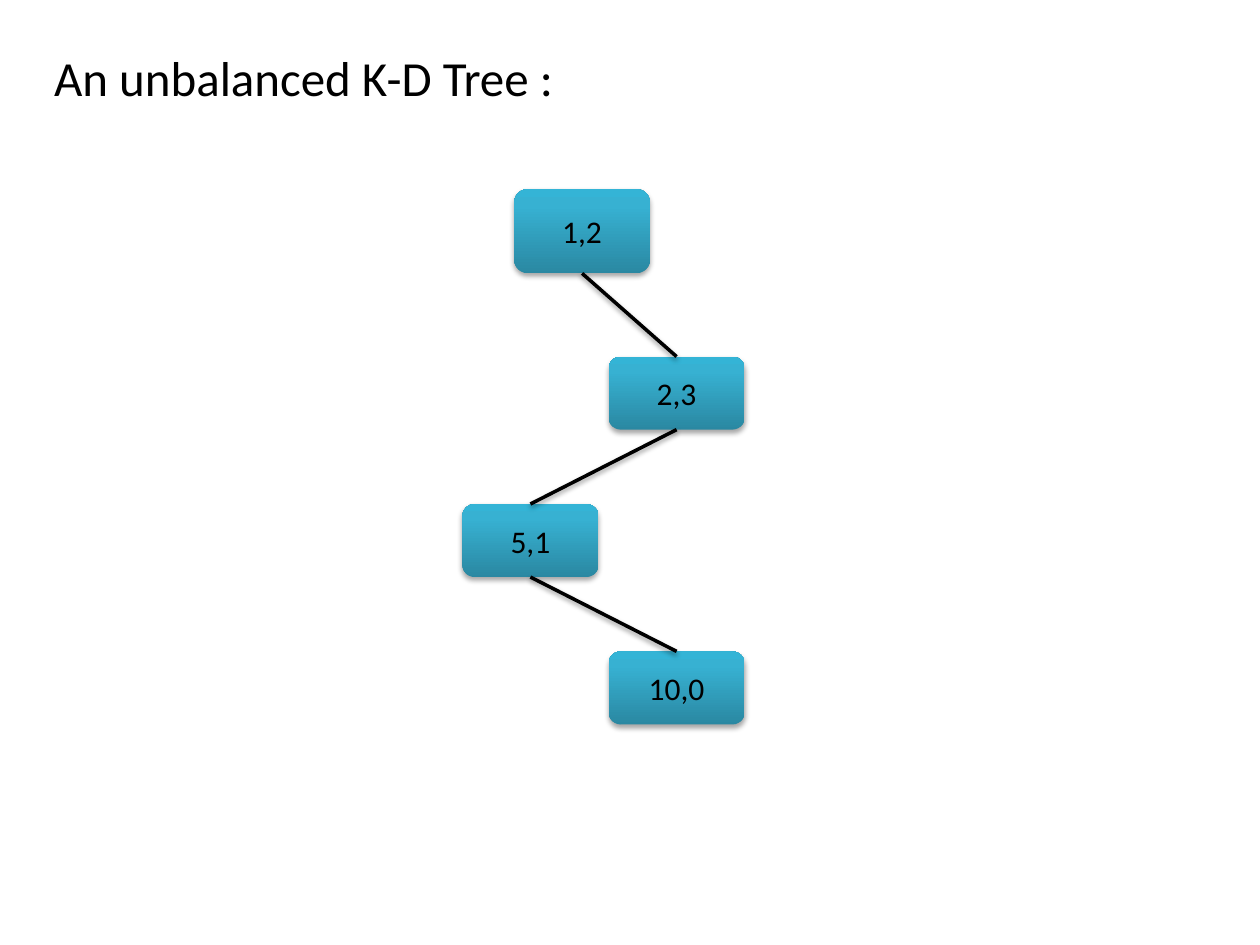
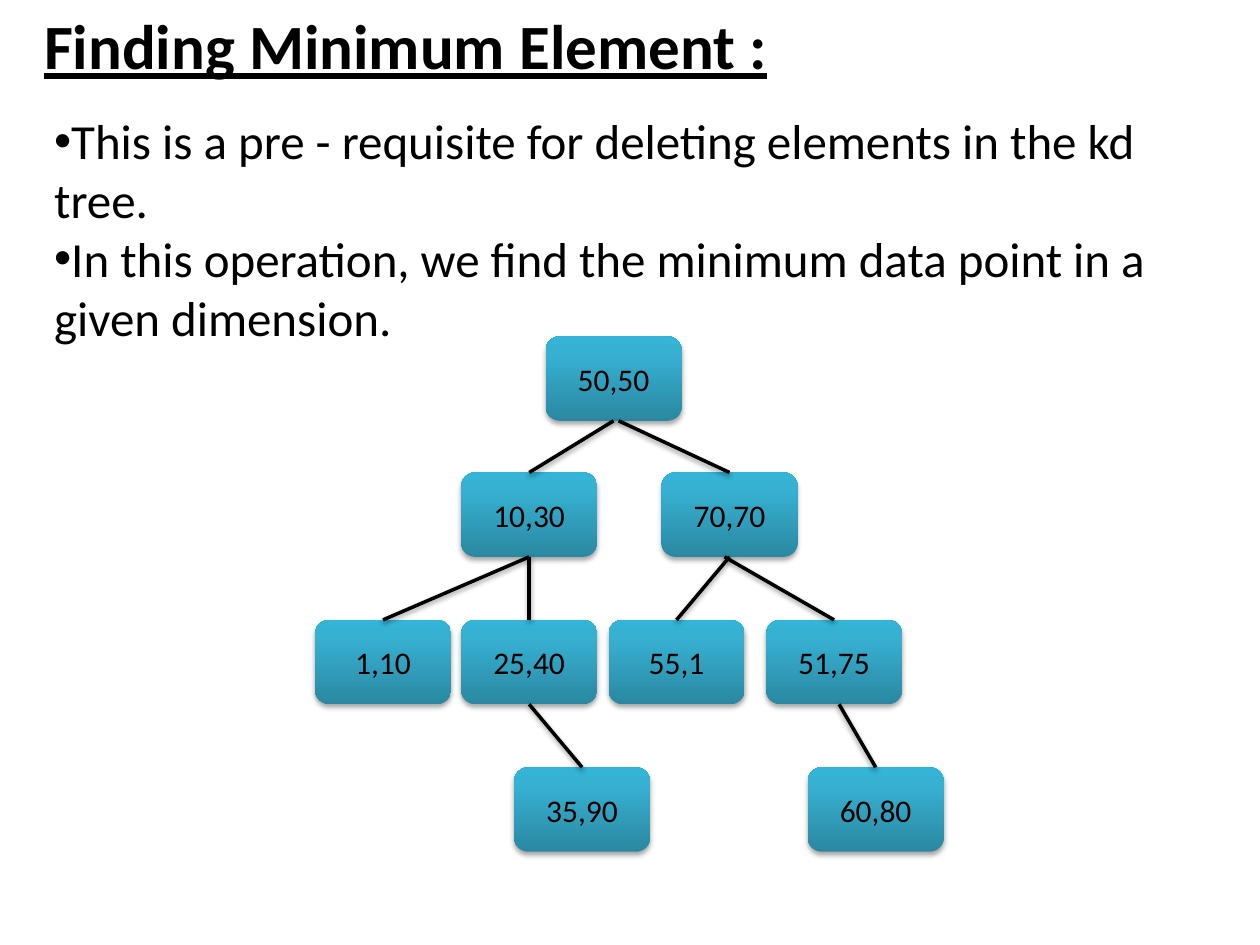
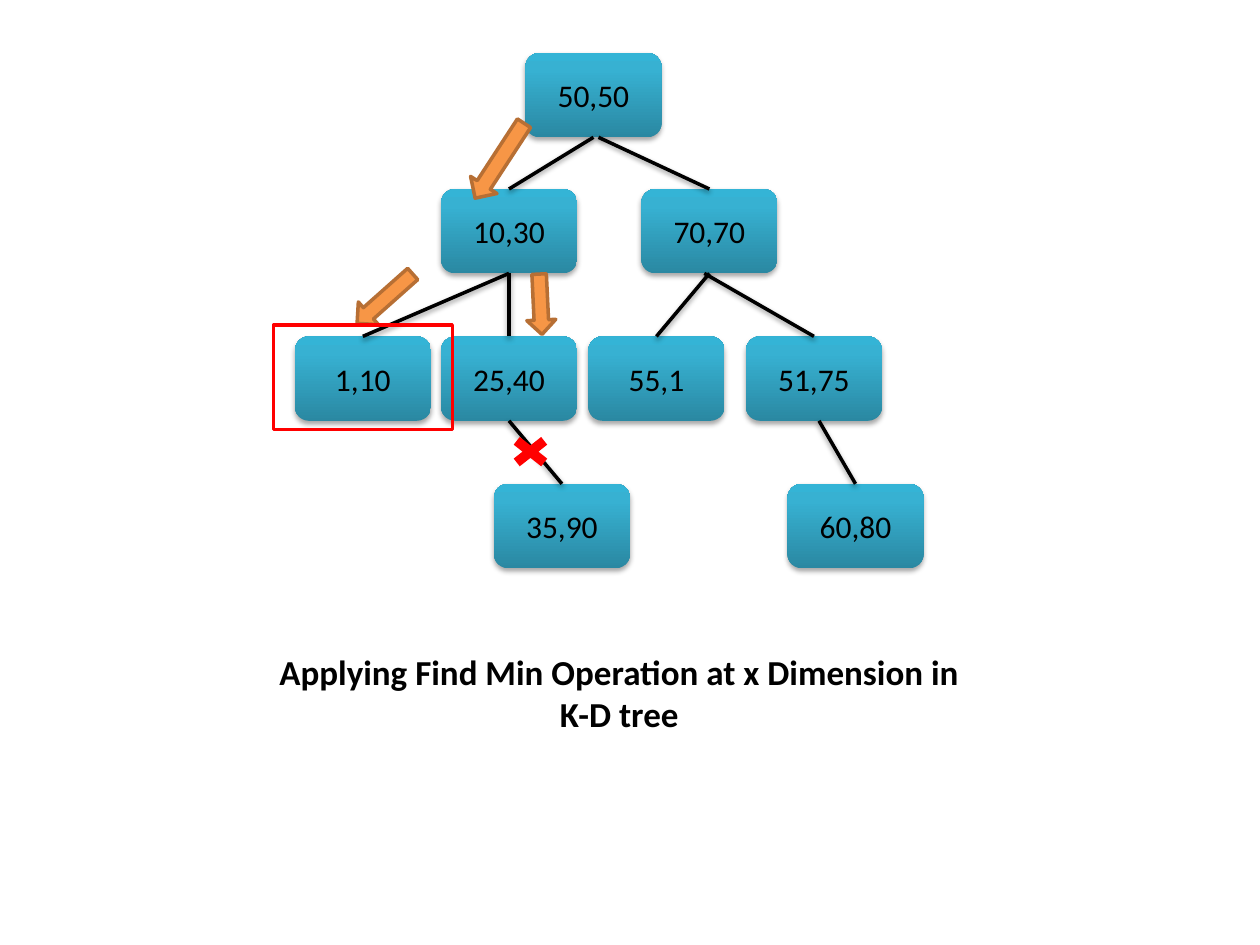
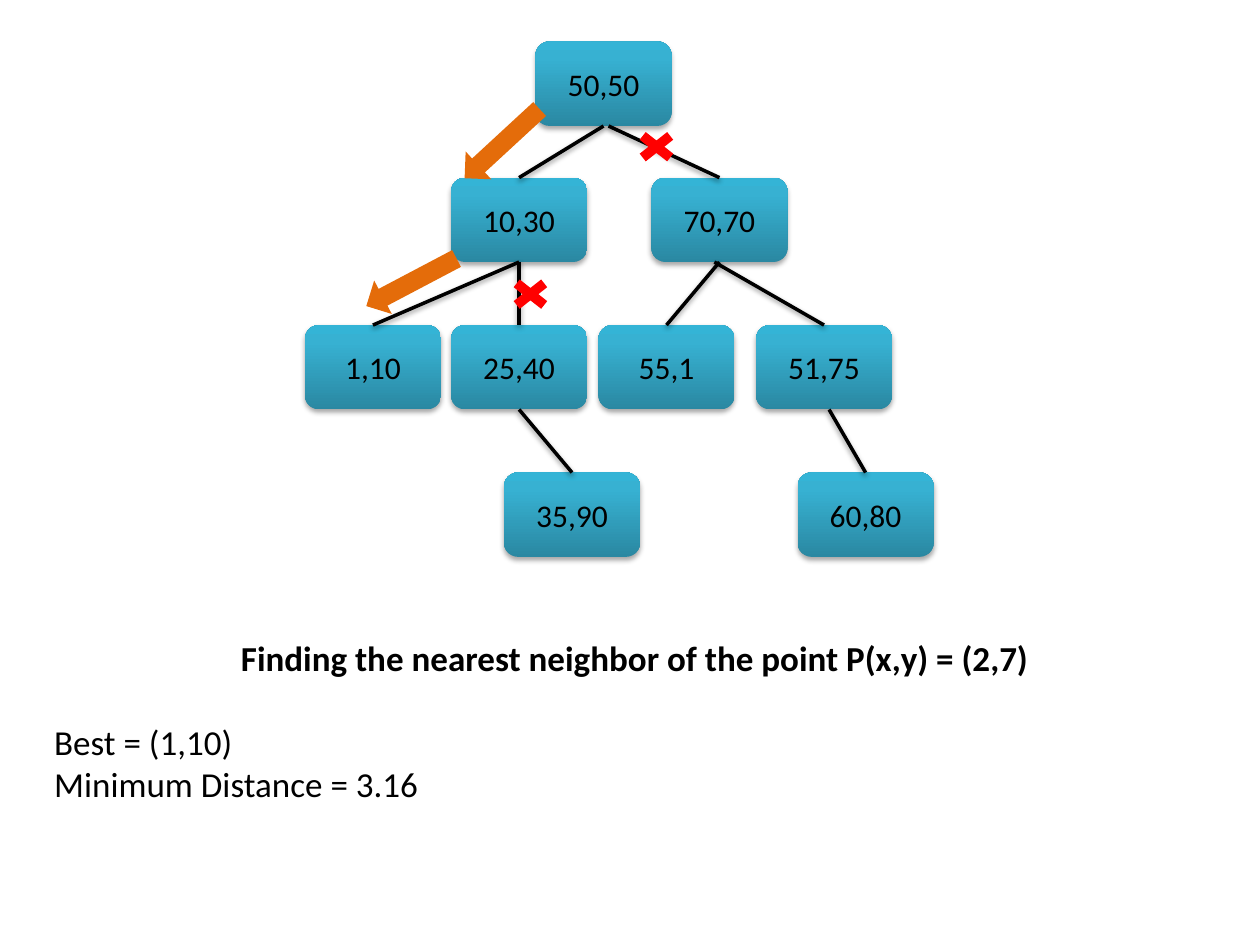
from copy import deepcopy
from dataclasses import dataclass

from lxml.etree import SubElement
from pptx import Presentation
from pptx.dml.color import RGBColor
from pptx.enum.shapes import MSO_CONNECTOR, MSO_SHAPE
from pptx.enum.text import MSO_ANCHOR, MSO_AUTO_SIZE, PP_ALIGN
from pptx.oxml.ns import qn
from pptx.util import Inches, Pt

COLORS = {
    "text": "000000",
    "node_dark": "2A88A2",
    "node_mid": "37B1D2",
    "node_light": "34B4D6",
    "visit": "F79646",
    "visit_edge": "B76F34",
    "descent": "E46C0A",
    "reject": "FF0000",
}
FONT = "Calibri"
NODE_WIDTH = 1.08
NODE_GRADIENT = ((0, "node_dark"), (0.8, "node_mid"), (1, "node_light"))
TITLE_LAYOUT, BODY_LAYOUT = 5, 1


@dataclass(frozen=True)
class Node:
    label: str
    left: float
    top: float
    parent: str = ""
    edge_shift: float = 0
    height: float = 0.67

    @property
    def center(self) -> float:
        return self.left + NODE_WIDTH / 2


@dataclass(frozen=True)
class Marker:
    kind: MSO_SHAPE
    left: float
    top: float
    width: float
    height: float
    rotation: float = 0
    fill: str = ""
    outline: str = ""


@dataclass(frozen=True)
class Line:
    text: str
    size: float
    bold: bool = False
    underline: bool = False
    align: PP_ALIGN = PP_ALIGN.LEFT
    space_after: float = 0
    bullet: bool = False


UNBALANCED_TREE = (
    Node("1,2", 4.08, 1.5),
    Node("2,3", 4.83, 2.83, "1,2", height=0.58),
    Node("5,1", 3.67, 4, "2,3", height=0.58),
    Node("10,0", 4.83, 5.17, "5,1", height=0.58),
)
SEARCH_TREE = (
    Node("50,50", 0, 0),
    Node("10,30", -0.67, 1.08, "50,50"),
    Node("70,70", 0.92, 1.08, "50,50", 0.04),
    Node("1,10", -1.83, 2.25, "10,30"),
    Node("25,40", -0.67, 2.25, "10,30"),
    Node("55,1", 0.5, 2.25, "70,70"),
    Node("51,75", 1.75, 2.25, "70,70", -0.04),
    Node("35,90", -0.25, 3.42, "25,40"),
    Node("60,80", 2.08, 3.42, "51,75", 0.04),
)


def rgb(color: str) -> RGBColor:
    return RGBColor.from_string(COLORS[color])


def add_shadow(shape, opacity: int, distance: float) -> None:
    properties = shape.element.spPr
    effects = properties.find(qn("a:effectLst"))
    if effects is None:
        effects = SubElement(properties, qn("a:effectLst"))
    shadow = SubElement(effects, qn("a:outerShdw"), blurRad=str(Pt(3.1)),
                        dist=str(Pt(distance)), dir="5400000", rotWithShape="0")
    shade = SubElement(shadow, qn("a:srgbClr"), val=COLORS["text"])
    SubElement(shade, qn("a:alpha"), val=str(opacity * 1000))


def add_text(paragraph, line: Line) -> None:
    paragraph.alignment = line.align
    run = paragraph.add_run()
    run.text = line.text
    run.font.name = FONT
    run.font.size = Pt(line.size)
    run.font.bold = line.bold
    run.font.underline = line.underline
    run.font.color.rgb = rgb("text")


def fill_placeholder(placeholder, left: float, top: float, width: float, height: float,
                     *lines: Line) -> None:
    placeholder.left, placeholder.top = Inches(left), Inches(top)
    placeholder.width, placeholder.height = Inches(width), Inches(height)
    frame = placeholder.text_frame
    frame.word_wrap = True
    frame.auto_size = MSO_AUTO_SIZE.SHAPE_TO_FIT_TEXT
    frame.vertical_anchor = MSO_ANCHOR.TOP
    for index, line in enumerate(lines):
        paragraph = frame.add_paragraph() if index else frame.paragraphs[0]
        add_text(paragraph, line)
        paragraph.space_before = Pt(0)
        paragraph.space_after = Pt(line.space_after)
        settings = paragraph._p.get_or_add_pPr()
        settings.set("marL", "0")
        settings.set("indent", "0")
        if line.bullet:
            SubElement(settings, qn("a:buFont"), typeface="Arial")
            SubElement(settings, qn("a:buChar"), char="•")
        else:
            SubElement(settings, qn("a:buNone"))


def add_node(slide, node: Node, left: float, top: float) -> None:
    box = slide.shapes.add_shape(
        MSO_SHAPE.ROUNDED_RECTANGLE, Inches(left + node.left), Inches(top + node.top),
        Inches(NODE_WIDTH), Inches(node.height))
    box.fill.gradient()
    box.fill.gradient_angle = 90
    stop_list = box.element.spPr.find(".//" + qn("a:gsLst"))
    stop_list.append(deepcopy(stop_list[0]))
    for stop, (position, color) in zip(box.fill.gradient_stops, NODE_GRADIENT):
        stop.position = position
        stop.color.rgb = rgb(color)
    box.line.fill.background()
    box.shadow.inherit = False
    add_shadow(box, 35, 1.8)
    box.text_frame.vertical_anchor = MSO_ANCHOR.MIDDLE
    add_text(box.text_frame.paragraphs[0], Line(node.label, 18, align=PP_ALIGN.CENTER))


def add_edge(slide, parent: Node, child: Node, left: float, top: float) -> None:
    edge = slide.shapes.add_connector(
        MSO_CONNECTOR.STRAIGHT,
        Inches(left + parent.center + child.edge_shift),
        Inches(top + parent.top + parent.height),
        Inches(left + child.center), Inches(top + child.top))
    edge.line.color.rgb = rgb("text")
    edge.line.width = Pt(2)
    add_shadow(edge, 38, 1.6)


def add_tree(slide, nodes: tuple[Node, ...], left: float = 0, top: float = 0) -> None:
    by_label = {node.label: node for node in nodes}
    for node in nodes:
        add_node(slide, node, left, top)
    for node in nodes:
        if node.parent:
            add_edge(slide, by_label[node.parent], node, left, top)


def add_marker(slide, marker: Marker) -> None:
    shape = slide.shapes.add_shape(
        marker.kind, Inches(marker.left), Inches(marker.top),
        Inches(marker.width), Inches(marker.height))
    shape.rotation = marker.rotation
    shape.shadow.inherit = False
    if marker.fill:
        shape.fill.solid()
        shape.fill.fore_color.rgb = rgb(marker.fill)
    else:
        shape.fill.background()
    if marker.outline:
        shape.line.color.rgb = rgb(marker.outline)
        shape.line.width = Pt(2)
    else:
        shape.line.fill.background()


def visit(left: float, top: float, width: float, height: float, rotation: float) -> Marker:
    return Marker(MSO_SHAPE.RIGHT_ARROW, left, top, width, height, rotation,
                  "visit", "visit_edge")


def descent(left: float, top: float, rotation: float) -> Marker:
    return Marker(MSO_SHAPE.RIGHT_ARROW, left, top, 0.81, 0.3, rotation, "descent")


def cross(left: float, top: float) -> Marker:
    return Marker(MSO_SHAPE.MATH_MULTIPLY, left, top, 0.42, 0.33, fill="reject")


def add_slide(deck, layout: int):
    return deck.slides.add_slide(deck.slide_layouts[layout])


def build_unbalanced(deck) -> None:
    slide = add_slide(deck, TITLE_LAYOUT)
    fill_placeholder(slide.shapes.title, 0.33, 0.33, 9.17, 0.57,
                     Line("An unbalanced K-D Tree :", 28))
    add_tree(slide, UNBALANCED_TREE)


def build_minimum(deck) -> None:
    slide = add_slide(deck, BODY_LAYOUT)
    fill_placeholder(slide.shapes.title, 0.25, 0, 9.5, 0.71,
                     Line("Finding Minimum Element :", 36, bold=True, underline=True))
    fill_placeholder(
        slide.placeholders[1], 0.33, 0.83, 9.17, 2.46,
        Line("This is a pre - requisite for deleting elements in the kd tree.", 28, bullet=True),
        Line("In this operation, we find the minimum data point in a given dimension.", 28,
             bullet=True))
    add_tree(slide, SEARCH_TREE, 4.33, 2.67)


def build_find_min(deck) -> None:
    slide = add_slide(deck, TITLE_LAYOUT)
    fill_placeholder(
        slide.shapes.title, 2.08, 5.11, 5.67, 0.77,
        Line("Applying Find Min Operation at x Dimension in K-D tree", 20, bold=True,
             align=PP_ALIGN.CENTER))
    add_tree(slide, SEARCH_TREE, 4.17, 0.42)
    for marker in (
        visit(4.05, 2.3, 0.48, 0.23, 87.3),
        visit(3.61, 1.15, 0.71, 0.25, 123.1),
        visit(2.76, 2.25, 0.59, 0.24, 138.4),
        cross(4, 3.42),
        Marker(MSO_SHAPE.RECTANGLE, 2.17, 2.58, 1.42, 0.83, outline="reject"),
    ):
        add_marker(slide, marker)


def build_nearest(deck) -> None:
    slide = add_slide(deck, BODY_LAYOUT)
    unused_title = slide.shapes.title.element
    unused_title.getparent().remove(unused_title)
    fill_placeholder(
        slide.placeholders[1], 0.33, 5, 9.42, 1.45,
        Line("Finding the nearest neighbor of the point P(x,y) = (2,7)", 20, bold=True,
             align=PP_ALIGN.CENTER, space_after=24),
        Line("Best = (1,10)", 20),
        Line("Minimum Distance = 3.16", 20))
    add_tree(slide, SEARCH_TREE, 4.25, 0.33)
    for marker in (
        descent(2.86, 2.09, 152.2),
        descent(3.58, 0.99, 137.3),
        cross(4, 2.17),
        cross(5, 1),
    ):
        add_marker(slide, marker)


def main() -> None:
    deck = Presentation()
    deck.slide_width, deck.slide_height = Inches(10), Inches(7.5)
    for build in (build_unbalanced, build_minimum, build_find_min, build_nearest):
        build(deck)
    deck.save("out.pptx")


if __name__ == "__main__":
    main()
